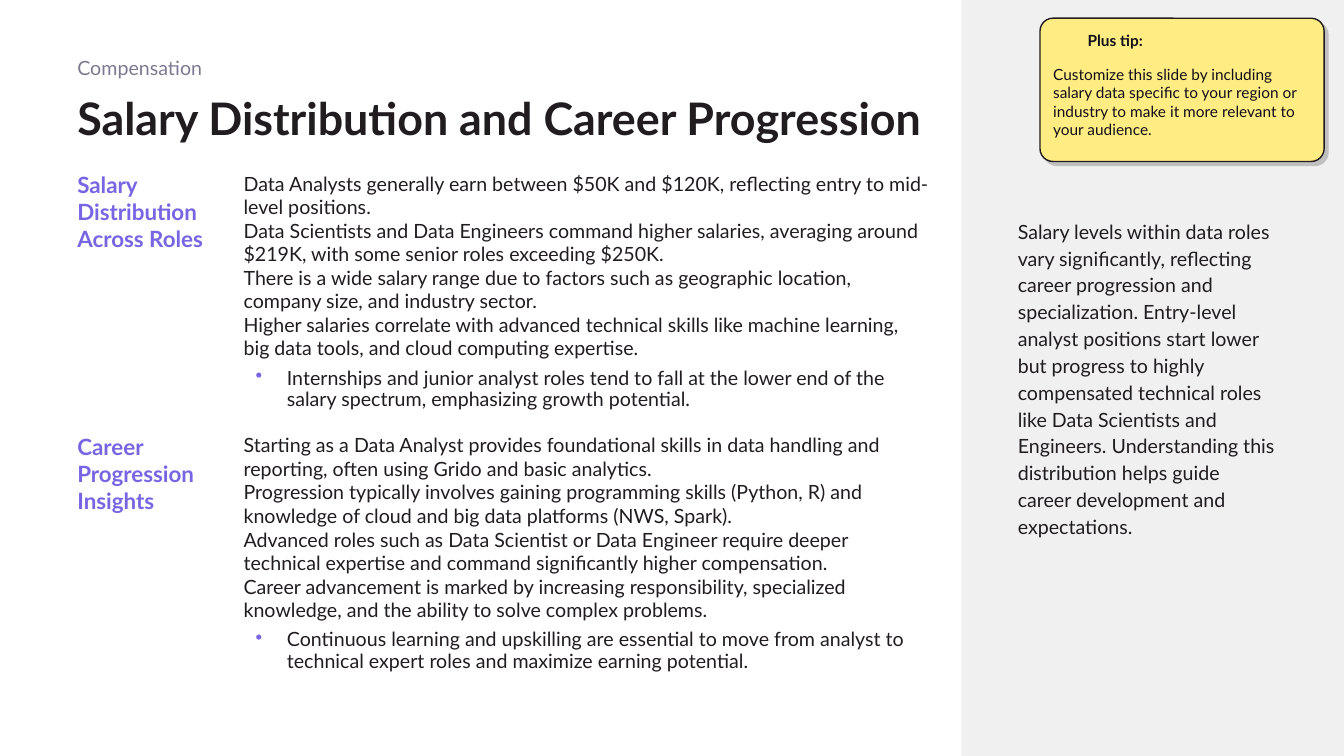
from dataclasses import dataclass

from lxml import etree
from pptx import Presentation
from pptx.dml.color import RGBColor
from pptx.enum.shapes import MSO_SHAPE
from pptx.enum.text import MSO_ANCHOR
from pptx.oxml import parse_xml
from pptx.oxml.ns import nsdecls, qn
from pptx.shapes.autoshape import Shape
from pptx.slide import Slide
from pptx.text.text import _Paragraph
from pptx.util import Cm, Pt

TOP, MIDDLE = MSO_ANCHOR.TOP, MSO_ANCHOR.MIDDLE
RECTANGLE, ROUNDED = MSO_SHAPE.RECTANGLE, MSO_SHAPE.ROUNDED_RECTANGLE

INK = RGBColor(0x20, 0x1C, 0x20)
TIP_INK = RGBColor(0x10, 0x0F, 0x19)
PURPLE = RGBColor(0x77, 0x65, 0xE3)
MUTED = RGBColor(0x7D, 0x79, 0x91)
PALE_GREY = RGBColor(0xF0, 0xF0, 0xF0)
YELLOW = RGBColor(0xFF, 0xEC, 0x82)

FONT = "Lato"
MARGIN = 1.7
SECTION_TOP = 4.19
SECTION_HEIGHT = 6.6
INSET_X, INSET_Y = 0.25, 0.13


@dataclass(frozen=True)
class Box:
    left: float
    top: float
    width: float
    height: float


@dataclass(frozen=True)
class Style:
    size: float
    color: RGBColor = INK
    bold: bool = False
    line_spacing: float = 1.0


@dataclass(frozen=True)
class Section:
    heading: str
    statements: tuple[str, ...]
    bullet: str


BODY = Style(14)
HEADING = Style(16, PURPLE, True)

SECTIONS = (
    Section(
        "Salary Distribution Across Roles",
        (
            "Data Analysts generally earn between $50K and $120K, reflecting entry to mid-level positions.",
            "Data Scientists and Data Engineers command higher salaries, averaging around $219K, "
            "with some senior roles exceeding $250K.",
            "There is a wide salary range due to factors such as geographic location, company size, "
            "and industry sector.",
            "Higher salaries correlate with advanced technical skills like machine learning, "
            "big data tools, and cloud computing expertise.",
        ),
        "Internships and junior analyst roles tend to fall at the lower end of the salary spectrum, "
        "emphasizing growth potential.",
    ),
    Section(
        "Career Progression Insights",
        (
            "Starting as a Data Analyst provides foundational skills in data handling and reporting, "
            "often using Grido and basic analytics.",
            "Progression typically involves gaining programming skills (Python, R) and knowledge of "
            "cloud and big data platforms (NWS, Spark).",
            "Advanced roles such as Data Scientist or Data Engineer require deeper technical expertise "
            "and command significantly higher compensation.",
            "Career advancement is marked by increasing responsibility, specialized knowledge, "
            "and the ability to solve complex problems.",
        ),
        "Continuous learning and upskilling are essential to move from analyst to technical expert "
        "roles and maximize earning potential.",
    ),
)

SUMMARY = (
    "Salary levels within data roles vary significantly, reflecting career progression and "
    "specialization. Entry-level analyst positions start lower but progress to highly compensated "
    "technical roles like Data Scientists and Engineers. Understanding this distribution helps "
    "guide career development and expectations."
)
TIP = (
    "Customize this slide by including salary data specific to your region or industry "
    "to make it more relevant to your audience."
)


def format_paragraph(paragraph: _Paragraph, style: Style) -> None:
    paragraph.line_spacing = style.line_spacing
    for run in paragraph.runs:
        run.font.name = FONT
        run.font.size = Pt(style.size)
        run.font.bold = style.bold
        run.font.color.rgb = style.color


def add_text(slide: Slide, box: Box, text: str, style: Style, anchor: MSO_ANCHOR = TOP,
             inset_x: float = INSET_X, inset_y: float = INSET_Y) -> Shape:
    text_box = slide.shapes.add_textbox(Cm(box.left), Cm(box.top), Cm(box.width), Cm(box.height))
    frame = text_box.text_frame
    frame.word_wrap = True
    frame.vertical_anchor = anchor
    frame.margin_left = frame.margin_right = Cm(inset_x)
    frame.margin_top = frame.margin_bottom = Cm(inset_y)
    frame.text = text
    for paragraph in frame.paragraphs:
        format_paragraph(paragraph, style)
    return text_box


def add_panel(slide: Slide, kind: MSO_SHAPE, box: Box, fill: RGBColor) -> Shape:
    panel = slide.shapes.add_shape(kind, Cm(box.left), Cm(box.top), Cm(box.width), Cm(box.height))
    panel.shadow.inherit = False
    panel.fill.solid()
    panel.fill.fore_color.rgb = fill
    panel.line.fill.background()
    return panel


def make_bullet(paragraph: _Paragraph) -> None:
    properties = paragraph._p.get_or_add_pPr()
    properties.set("marL", str(Cm(1.09)))
    properties.set("indent", str(Cm(-0.79)))
    color = etree.SubElement(properties, qn("a:buClr"))
    etree.SubElement(color, qn("a:srgbClr"), val=str(PURPLE))
    etree.SubElement(properties, qn("a:buChar"), char="•")
    paragraph.space_before = Pt(6)
    format_paragraph(paragraph, Style(14, line_spacing=0.9))


def add_section(slide: Slide, section: Section, top: float) -> None:
    add_text(slide, Box(MARGIN, top, 4.22, SECTION_HEIGHT), section.heading, HEADING)
    details = add_text(slide, Box(5.89, top, 17.78, SECTION_HEIGHT),
                       "\n".join((*section.statements, section.bullet)), BODY)
    make_bullet(details.text_frame.paragraphs[-1])


def add_hard_shadow(shape: Shape) -> None:
    effects = shape._element.spPr.find(qn("a:effectLst"))
    effects.append(parse_xml(
        f'<a:outerShdw {nsdecls("a")} blurRad="0" dist="{Pt(4)}" dir="2700000" algn="tl" '
        'rotWithShape="0"><a:srgbClr val="000000"><a:alpha val="20000"/></a:srgbClr></a:outerShdw>'
    ))


def main() -> None:
    presentation = Presentation()
    presentation.slide_width, presentation.slide_height = Cm(33.87), Cm(19.05)
    slide = presentation.slides.add_slide(presentation.slide_layouts[6])

    # Summary sidebar
    add_panel(slide, RECTANGLE, Box(24.23, 0, 9.64, 19.05), PALE_GREY)
    add_text(slide, Box(25.4, 1.57, 7.06, 15.88), SUMMARY, Style(14, line_spacing=1.14), MIDDLE)

    # Title with its topic above
    add_text(slide, Box(MARGIN, 1.96, 21.97, 2.21), "Salary Distribution and Career Progression",
             Style(32, bold=True, line_spacing=0.85), MIDDLE)
    add_text(slide, Box(MARGIN, 1.27, 15.24, 1.14), "Compensation", Style(14, MUTED))

    # Sections
    for index, section in enumerate(SECTIONS):
        add_section(slide, section, SECTION_TOP + index * SECTION_HEIGHT)

    # Tip card
    tip_card = add_panel(slide, ROUNDED, Box(26.21, 0.46, 7.16, 3.61), YELLOW)
    tip_card.adjustments[0] = 0.09
    tip_card.line.color.rgb = INK
    tip_card.line.width = Pt(1)
    add_hard_shadow(tip_card)
    add_text(slide, Box(27.41, 0.79, 2.5, 0.5), "Plus tip:", Style(11, TIP_INK, True),
             inset_x=0, inset_y=0)
    add_text(slide, Box(26.54, 1.5, 6.53, 2.29), TIP, Style(11, TIP_INK), inset_x=0)

    presentation.save("out.pptx")


if __name__ == "__main__":
    main()
